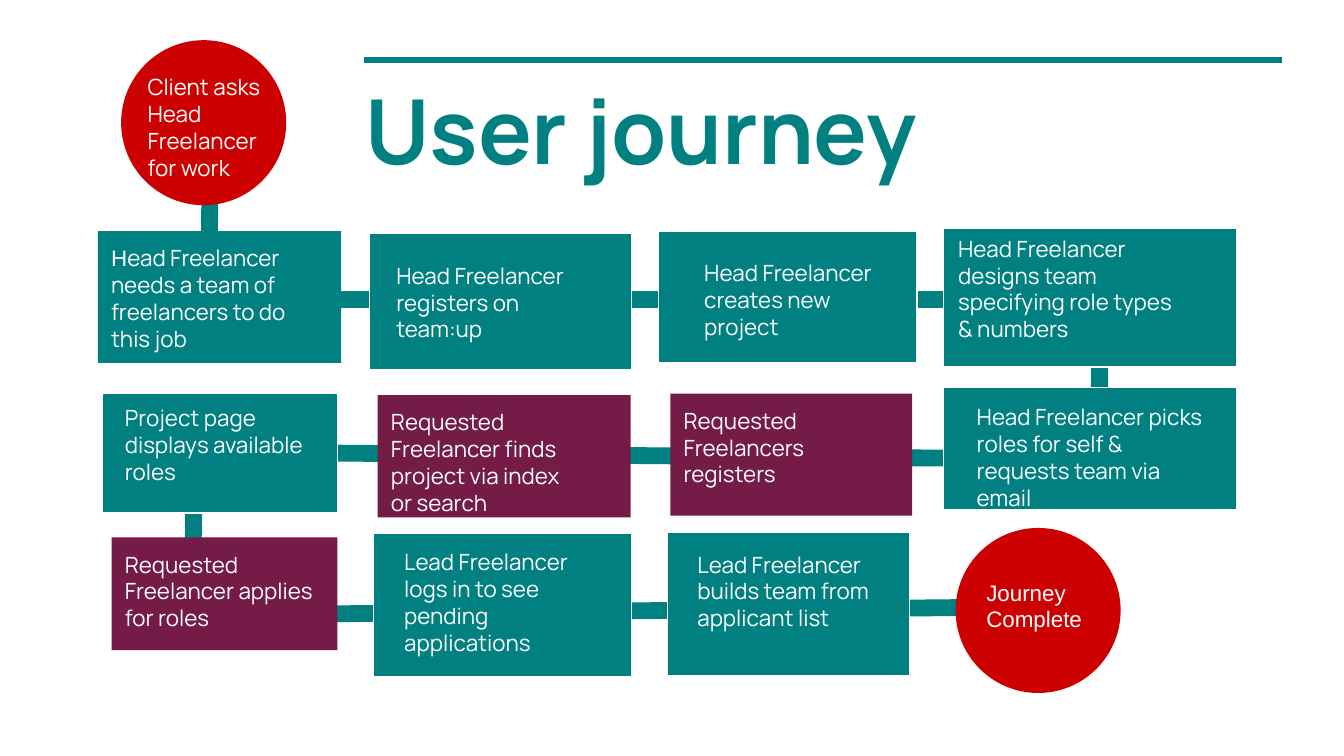
from dataclasses import dataclass
from typing import NamedTuple, Optional

from lxml.etree import SubElement
from pptx import Presentation
from pptx.dml.color import RGBColor
from pptx.enum.shapes import MSO_CONNECTOR as Connector, MSO_SHAPE as Shape
from pptx.enum.text import MSO_ANCHOR as Anchor, MSO_AUTO_SIZE as AutoSize, PP_ALIGN as Align
from pptx.oxml.ns import qn
from pptx.util import Cm, Pt


@dataclass(frozen=True)
class Theme:
    teal: RGBColor = RGBColor(0x00, 0x80, 0x80)
    plum: RGBColor = RGBColor(0x74, 0x1B, 0x47)
    red: RGBColor = RGBColor(0xCC, 0x00, 0x00)
    white: RGBColor = RGBColor(0xFF, 0xFF, 0xFF)
    font: str = "Manrope"
    plain_font: str = "Arial"
    title_size: Pt = Pt(48)
    body_size: Pt = Pt(12)
    rule_width: Pt = Pt(3)
    path_width: Pt = Pt(9)
    border_width: Pt = Pt(0.75)
    inset: Cm = Cm(0.25)


THEME = Theme()


class Box(NamedTuple):
    """Left, top, width and height in centimetres."""
    x: float
    y: float
    w: float
    h: float


class Line(NamedTuple):
    """Start and end points in centimetres."""
    x1: float
    y1: float
    x2: float
    y2: float


class Run(NamedTuple):
    text: str
    font: str = THEME.font


@dataclass(frozen=True)
class Step:
    """A stage of the journey; with a label box, its text sits in a separate text box."""
    box: Box
    paragraphs: list[list[Run]]
    label: Optional[Box] = None
    color: RGBColor = THEME.teal
    shape: Shape = Shape.RECTANGLE


def lines(*texts: str, font: str = THEME.font) -> list[list[Run]]:
    return [[Run(text, font)] for text in texts]


RULE = Line(6.88, 1.14, 24.23, 1.14)
TITLE_BOX = Box(6.65, 1.17, 17.55, 1.75)

PATHS = [
    Line(20.57, 11.46, 3.58, 11.63),
    Line(3.68, 8.13, 3.63, 11.94),
    Line(21.62, 8.69, 2.11, 8.53),
    Line(20.8, 5.51, 20.75, 9.32),
    Line(22.68, 5.66, 2.49, 5.66),
    Line(3.99, 1.85, 3.94, 5.66),
]

STEPS = [
    Step(Box(2.29, 0.76, 3.12, 3.12),
         lines("Client asks", "Head", "Freelancer", "for work"),
         Box(2.54, 1.14, 3.71, 2.34), THEME.red, Shape.FLOWCHART_CONNECTOR),
    Step(Box(1.85, 4.37, 4.6, 2.49),
         [[Run("H", THEME.plain_font),
           Run("ead Freelancer needs a team of freelancers to do this job")]]),
    Step(Box(6.99, 4.42, 4.95, 2.57),
         lines("Head Freelancer", "registers on team:up"),
         Box(7.24, 4.7, 4.04, 1.91)),
    Step(Box(12.45, 4.37, 4.88, 2.49),
         lines("Head Freelancer creates new project"),
         Box(13.06, 4.65, 4.22, 2.11)),
    Step(Box(17.83, 4.32, 5.54, 2.62),
         lines("Head Freelancer designs team specifying role types", "& numbers"),
         Box(17.86, 4.19, 5.16, 2.67)),
    Step(Box(17.83, 7.32, 5.54, 2.31),
         lines("Head Freelancer picks roles for self & requests team via email"),
         Box(18.21, 7.37, 4.78, 2.62)),
    Step(Box(12.67, 7.44, 4.57, 2.31),
         lines("Requested Freelancers registers"), color=THEME.plum),
    Step(Box(7.14, 7.47, 4.78, 2.31),
         lines("Requested Freelancer finds project via index", "or search"),
         color=THEME.plum),
    Step(Box(1.93, 7.44, 4.45, 2.26),
         lines("Project page displays available roles"),
         Box(2.11, 7.39, 4.14, 2.29)),
    Step(Box(2.11, 10.16, 4.27, 2.13),
         lines("Requested Freelancer applies for roles"), color=THEME.plum),
    Step(Box(7.06, 10.08, 4.88, 2.72),
         lines("Lead Freelancer logs in to see pending applications"),
         Box(7.39, 10.11, 4.22, 1.8)),
    Step(Box(12.62, 10.06, 4.57, 2.72),
         lines("Lead Freelancer builds team from applicant list"),
         Box(12.93, 10.16, 3.94, 2.26)),
    Step(Box(18.06, 9.98, 3.12, 3.12),
         lines("Journey", "Complete", font=THEME.plain_font),
         Box(18.39, 10.69, 3.71, 2.34), THEME.red, Shape.FLOWCHART_CONNECTOR),
]


def add_line(shapes, line: Line, width: Pt) -> None:
    sp = shapes.add_connector(Connector.STRAIGHT, *map(Cm, line))
    sp.line.color.rgb = THEME.teal
    sp.line.width = width
    SubElement(sp._element.spPr, qn("a:effectLst"))


def write_text(sp, paragraphs: list[list[Run]], size: Pt, color: RGBColor,
               bold: bool = False) -> None:
    tf = sp.text_frame
    tf.word_wrap = True
    tf.auto_size = AutoSize.NONE
    tf.vertical_anchor = Anchor.TOP
    tf.margin_left = tf.margin_right = tf.margin_top = tf.margin_bottom = THEME.inset
    for i, runs in enumerate(paragraphs):
        p = tf.add_paragraph() if i else tf.paragraphs[0]
        p.alignment = Align.LEFT
        p.line_spacing = 1.0
        p.space_before = Pt(0)
        for run in runs:
            r = p.add_run()
            r.text = run.text
            r.font.name = run.font
            r.font.size = size
            r.font.bold = bold
            r.font.color.rgb = color


def add_title(s, text: str) -> None:
    sp = s.shapes.title
    sp.left, sp.top, sp.width, sp.height = map(Cm, TITLE_BOX)
    write_text(sp, lines(text), THEME.title_size, THEME.teal, bold=True)


def add_step(s, step: Step) -> None:
    shapes = s.shapes.add_group_shape().shapes if step.label else s.shapes
    sp = shapes.add_shape(step.shape, *map(Cm, step.box))
    sp.shadow.inherit = False
    sp.fill.solid()
    sp.fill.fore_color.rgb = step.color
    if step.label and step.shape == Shape.RECTANGLE:
        sp.line.color.rgb = THEME.white
        sp.line.width = THEME.border_width
    else:
        sp.line.fill.background()
    target = shapes.add_textbox(*map(Cm, step.label)) if step.label else sp
    write_text(target, step.paragraphs, THEME.body_size, THEME.white)


def main() -> None:
    prs = Presentation()
    prs.slide_width, prs.slide_height = Cm(25.4), Cm(14.29)
    s = prs.slides.add_slide(prs.slide_layouts[5])
    add_line(s.shapes, RULE, THEME.rule_width)
    add_title(s, "User journey")
    for path in PATHS:
        add_line(s.shapes, path, THEME.path_width)
    for step in STEPS:
        add_step(s, step)
    prs.save("out.pptx")


if __name__ == "__main__":
    main()
